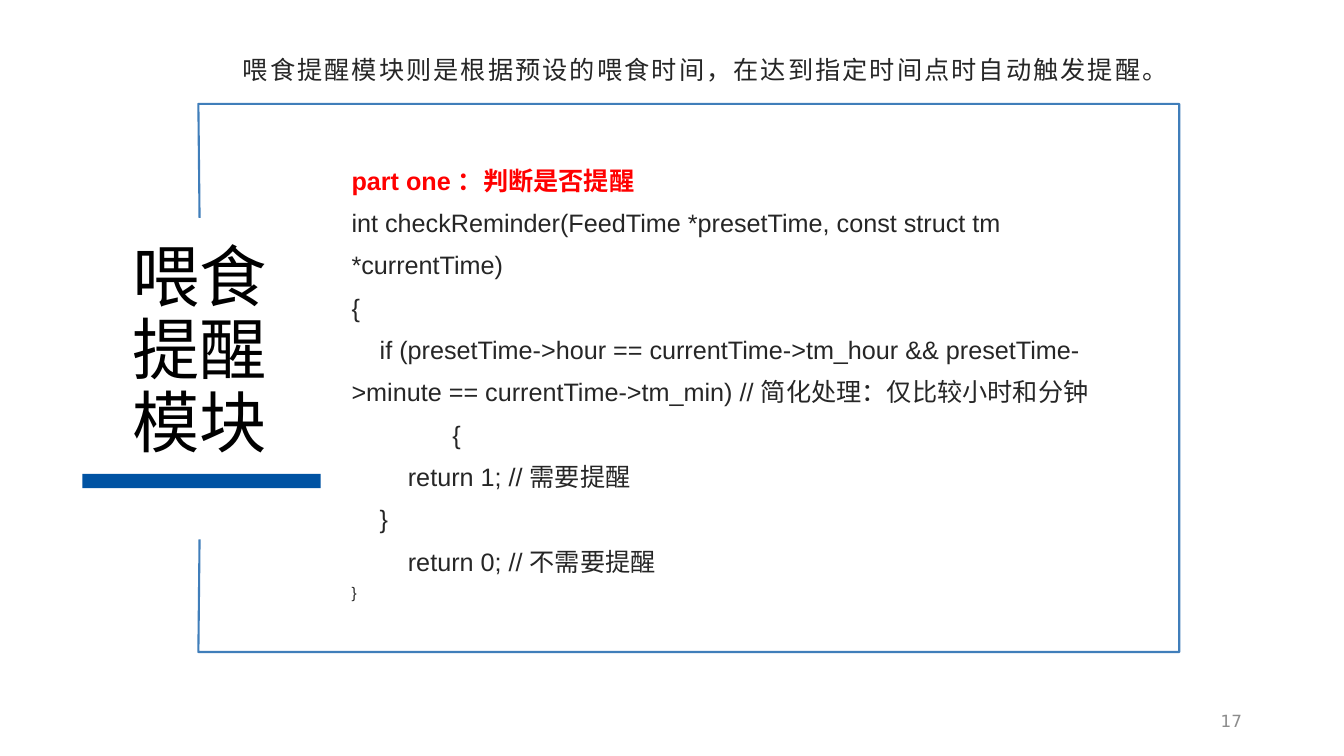
from dataclasses import dataclass

from lxml import etree
from pptx import Presentation
from pptx.dml.color import RGBColor
from pptx.enum.shapes import MSO_SHAPE
from pptx.enum.text import MSO_ANCHOR, MSO_AUTO_SIZE, PP_ALIGN
from pptx.oxml.ns import qn
from pptx.util import Cm, Pt

BLUE = RGBColor(0x00, 0x53, 0xA3)
RED = RGBColor(0xFF, 0x00, 0x00)
INK = RGBColor(0x26, 0x26, 0x26)
BLACK = RGBColor(0x00, 0x00, 0x00)
GRAY = RGBColor(0x8C, 0x8C, 0x8C)
RECTANGLE = MSO_SHAPE.RECTANGLE
TOP, MIDDLE, BOTTOM = MSO_ANCHOR.TOP, MSO_ANCHOR.MIDDLE, MSO_ANCHOR.BOTTOM
LEFT, CENTER, RIGHT = PP_ALIGN.LEFT, PP_ALIGN.CENTER, PP_ALIGN.RIGHT
NO_AUTOFIT = MSO_AUTO_SIZE.NONE
TITLE_ONLY_LAYOUT = 5


@dataclass
class Line:
    text: str
    indent: float = 0  # first-line indent in cm
    size: float = 18
    color: RGBColor = INK
    bold: bool = False
    font: str = "Arial"


@dataclass
class TextBlock:
    left: float
    top: float
    width: float
    height: float
    lines: list[Line]
    anchor: MSO_ANCHOR = MIDDLE
    align: PP_ALIGN = LEFT
    line_spacing: float = 1.0
    letter_spacing: float = 0  # points
    margin: float = 0  # paragraph left margin in cm


CODE_STEP = 0.71  # one code level in cm
CODE = TextBlock(8.61, 4.04, 20.09, 10.95, line_spacing=1.4, lines=[
    Line("part one ：判断是否提醒", color=RED, bold=True),
    Line("int checkReminder(FeedTime *presetTime, const struct tm *currentTime)"),
    Line("{"),
    Line("if (presetTime->hour == currentTime->tm_hour && presetTime->minute"
         " == currentTime->tm_min) // 简化处理：仅比较小时和分钟", CODE_STEP),
    Line("{", 2.54),
    Line("return 1; // 需要提醒", 2 * CODE_STEP),
    Line("}", CODE_STEP),
    Line("return 0; // 不需要提醒", 2 * CODE_STEP),
    Line("}", size=11),
])
CAPTION = TextBlock(5.77, 1.02, 25.17, 1.5, anchor=TOP, line_spacing=1.3,
                    letter_spacing=1.5, margin=0.1, lines=[
    Line("喂食提醒模块则是根据预设的喂食时间，在达到指定时间点时自动触发提醒。"),
])
PAGE_NUMBER = TextBlock(23.93, 17.65, 7.62, 1.02, align=RIGHT, lines=[
    Line("17", size=12, color=GRAY, font="DejaVu Sans"),
])
TITLE_LINES = ["喂食", "提醒", "模块"]
FRAME_POINTS = [(5.03, 5.49), (5.0, 2.62), (29.72, 2.62),
                (29.72, 16.43), (5.0, 16.43), (5.03, 13.59)]


def set_attributes(target: object, values: dict) -> None:
    for name, value in values.items():
        setattr(target, name, value)


def add_text_block(slide, block: TextBlock) -> None:
    shape = slide.shapes.add_textbox(Cm(block.left), Cm(block.top),
                                     Cm(block.width), Cm(block.height))
    frame = shape.text_frame
    set_attributes(frame, {"word_wrap": True, "auto_size": NO_AUTOFIT,
                           "vertical_anchor": block.anchor})
    for index, line in enumerate(block.lines):
        paragraph = frame.add_paragraph() if index else frame.paragraphs[0]
        set_attributes(paragraph, {"alignment": block.align,
                                   "line_spacing": block.line_spacing})
        properties = paragraph._p.get_or_add_pPr()
        properties.set("marL", str(Cm(block.margin)))
        properties.set("indent", str(Cm(line.indent)))
        run = paragraph.add_run()
        run.text = line.text
        set_attributes(run.font, {"name": line.font, "size": Pt(line.size),
                                  "bold": line.bold})
        run.font.color.rgb = line.color
        if block.letter_spacing:
            run._r.get_or_add_rPr().set("spc", str(round(block.letter_spacing * 100)))


def fill_title(slide) -> None:
    title = slide.shapes.title
    set_attributes(title, {"left": Cm(1.47), "top": Cm(5.66),
                           "width": Cm(7.11), "height": Cm(6.1)})
    set_attributes(title.text_frame, {"word_wrap": True, "auto_size": NO_AUTOFIT,
                                      "vertical_anchor": BOTTOM})
    paragraph = title.text_frame.paragraphs[0]
    set_attributes(paragraph, {"alignment": CENTER, "line_spacing": 0.9})
    for index, text in enumerate(TITLE_LINES):
        if index:
            paragraph.add_line_break()
        run = paragraph.add_run()
        run.text = text
        set_attributes(run.font, {"name": "DejaVu Sans Mono", "size": Pt(48)})
        run.font.color.rgb = BLACK


def add_title_bar(slide) -> None:
    bar = slide.shapes.add_shape(RECTANGLE, Cm(2.08), Cm(11.94), Cm(6), Cm(0.36))
    bar.shadow.inherit = False
    bar.fill.solid()
    bar.fill.fore_color.rgb = BLUE
    bar.line.fill.background()


def add_frame(slide) -> None:
    points = [(Cm(x), Cm(y)) for x, y in FRAME_POINTS]
    builder = slide.shapes.build_freeform(*points[0])
    builder.add_line_segments(points[1:], close=False)
    outline = builder.convert_to_shape()
    outline.shadow.inherit = False
    outline.fill.background()
    outline.line.width = Pt(1.5)
    outline.line.color.rgb = BLUE
    # 75 % opacity
    color = outline.element.spPr.find(f"{qn('a:ln')}/{qn('a:solidFill')}/{qn('a:srgbClr')}")
    etree.SubElement(color, qn("a:alpha")).set("val", "75000")


def main() -> None:
    presentation = Presentation()
    set_attributes(presentation, {"slide_width": Cm(33.87), "slide_height": Cm(19.05)})
    slide = presentation.slides.add_slide(presentation.slide_layouts[TITLE_ONLY_LAYOUT])

    # Title and code
    fill_title(slide)
    add_text_block(slide, CODE)

    # Bar and open frame
    add_title_bar(slide)
    add_frame(slide)

    # Page number and caption
    for block in (PAGE_NUMBER, CAPTION):
        add_text_block(slide, block)

    presentation.save("out.pptx")


if __name__ == "__main__":
    main()
